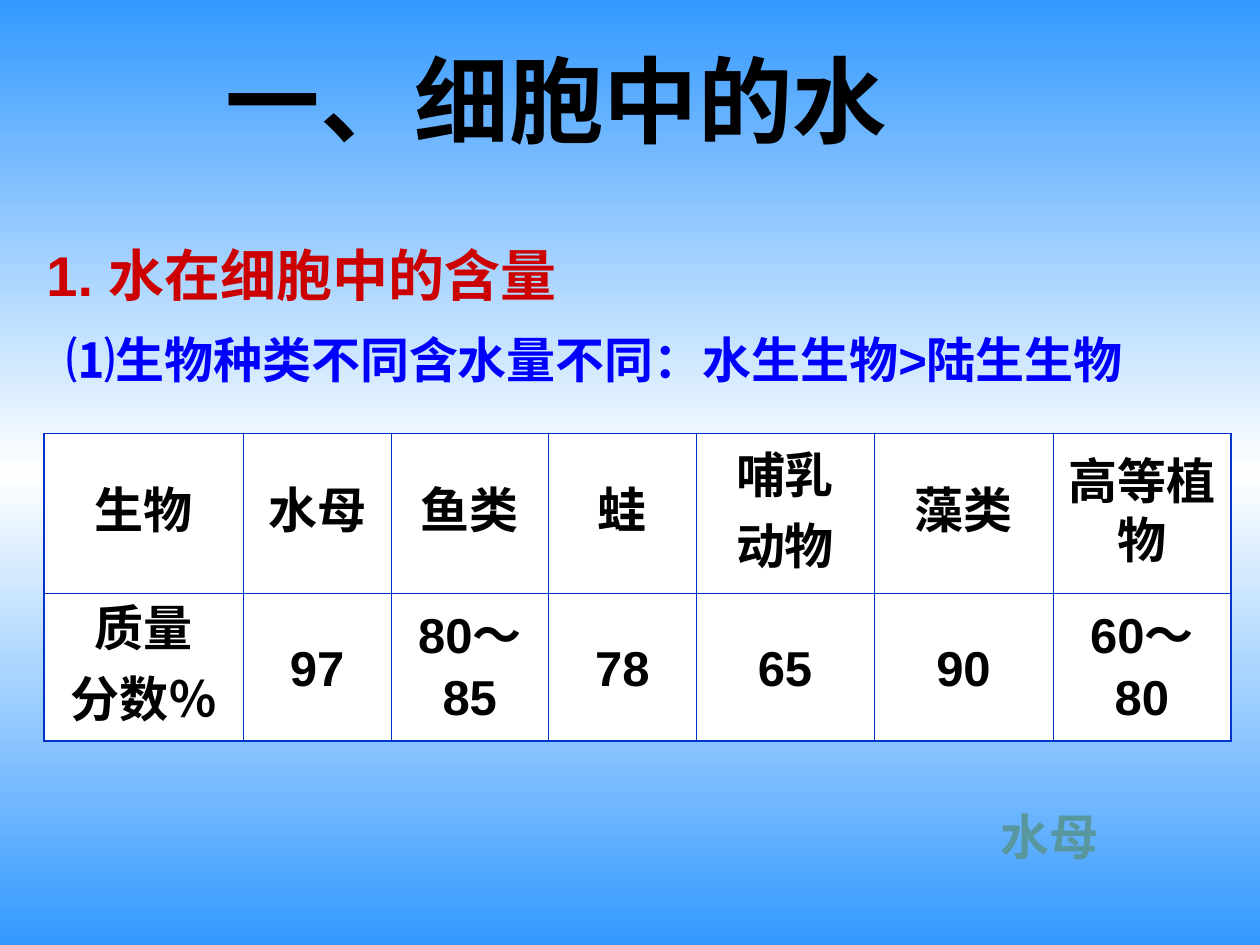
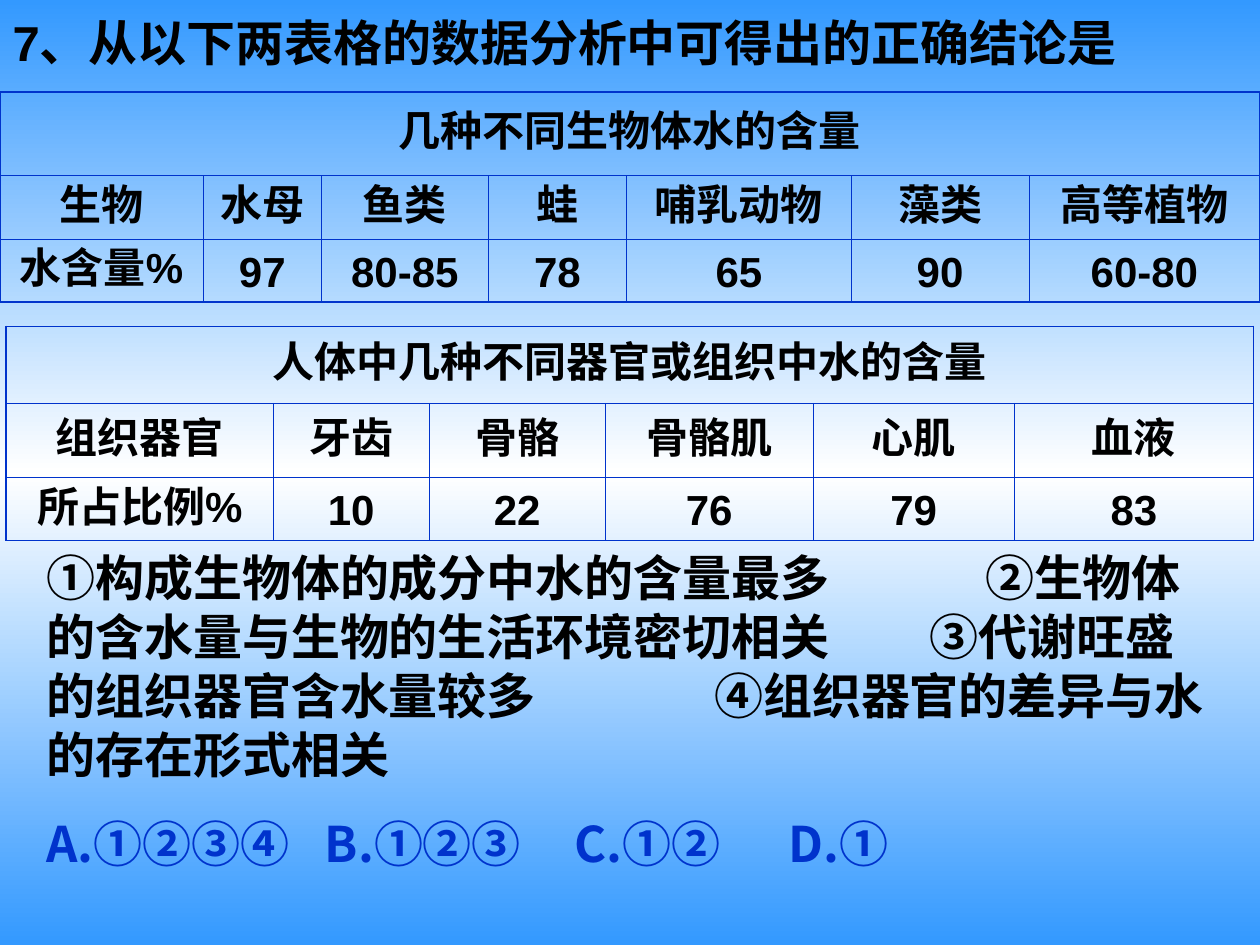
from lxml import etree
from pptx import Presentation
from pptx.dml.color import RGBColor
from pptx.enum.text import MSO_ANCHOR, MSO_AUTO_SIZE, PP_ALIGN
from pptx.oxml.ns import qn
from pptx.util import Inches, Pt

LEFT, CENTER = PP_ALIGN.LEFT, PP_ALIGN.CENTER
TOP, MIDDLE = MSO_ANCHOR.TOP, MSO_ANCHOR.MIDDLE
NO_AUTOFIT = MSO_AUTO_SIZE.NONE
TITLE_ONLY = 5

SKY = RGBColor(0x33, 0x99, 0xFF)
WHITE = RGBColor(0xFF, 0xFF, 0xFF)
BLACK = RGBColor(0x00, 0x00, 0x00)
CELL_INK = RGBColor(0x02, 0x01, 0x00)
RED = RGBColor(0xCC, 0x00, 0x00)
BLUE = RGBColor(0x00, 0x00, 0xFF)
ROYAL = RGBColor(0x00, 0x33, 0xCC)
TEAL = RGBColor(0x59, 0x97, 0x9F)

LATIN, CJK = "Arial", "Noto Sans CJK SC"
LINE_HEIGHT = 1.2              # line pitch per point of text size
OUTER, INNER = Pt(1.08), Pt(0.45)

# The slide is a grid of 100 columns by 75 rows
SLIDE_W, SLIDE_H = Inches(10), Inches(7.5)
COL, ROW = SLIDE_W / 100, SLIDE_H / 75


def grid(box):
    x, y, w, h = box
    return int(x * COL), int(y * ROW), int(w * COL), int(h * ROW)


def style_paragraph(p, size, color, font=LATIN, align=LEFT, before=0):
    p.alignment = align
    p.line_spacing = Pt(size * LINE_HEIGHT)
    p.space_before = Pt(before)
    for r in p.runs:
        r.font.size, r.font.bold, r.font.name = Pt(size), True, font
        r.font.color.rgb = color
        etree.SubElement(r._r.get_or_add_rPr(), qn("a:ea"), typeface=CJK)


def set_tabs(p, columns):
    tabs = etree.SubElement(p._p.get_or_add_pPr(), qn("a:tabLst"))
    for column in columns:
        etree.SubElement(tabs, qn("a:tab"), pos=str(int(column * COL)), algn="l")


def fill_text(s, box, text, size, color, font=LATIN):
    s.left, s.top, s.width, s.height = grid(box)
    tf = s.text_frame
    tf.text = text
    tf.word_wrap, tf.auto_size, tf.vertical_anchor = True, NO_AUTOFIT, TOP
    for i, p in enumerate(tf.paragraphs):
        style_paragraph(p, size, color, font, before=17.5 if i else 0)
    return tf


def add_text(slide, box, *args, **kwargs):
    return fill_text(slide.shapes.add_textbox(*grid(box)), box, *args, **kwargs)


def set_borders(cell, widths):
    tcPr = cell._tc.get_or_add_tcPr()
    for side, width in zip("LRTB", widths):
        ln = etree.SubElement(tcPr, qn(f"a:ln{side}"), w=str(int(width)))
        solid = etree.SubElement(ln, qn("a:solidFill"))
        etree.SubElement(solid, qn("a:srgbClr"), val=str(ROYAL))


def add_data_table(slide, box, col_weights, row_weights, rows, size, color,
                   fill=None, caption=None):
    """Table with a thick frame; a caption becomes a merged first row."""
    n_rows, n_cols = len(row_weights), len(col_weights)
    x, y, w, h = grid(box)
    table = slide.shapes.add_table(n_rows, n_cols, x, y, w, h).table
    table.first_row = table.horz_banding = False
    for column, weight in zip(table.columns, col_weights):
        column.width = int(w * weight / sum(col_weights))
    for row, weight in zip(table.rows, row_weights):
        row.height = int(h * weight / sum(row_weights))
    if caption:
        table.cell(0, 0).merge(table.cell(0, n_cols - 1))
        rows = [[caption] + [""] * (n_cols - 1)] + rows

    for i, values in enumerate(rows):
        for j, value in enumerate(values):
            cell = table.cell(i, j)
            cell.text = value
            cell.vertical_anchor = MIDDLE
            at_right = j == n_cols - 1 or cell.is_merge_origin
            edges = (j == 0, at_right, i == 0, i == n_rows - 1)
            set_borders(cell, [OUTER if edge else INNER for edge in edges])
            if fill is None:
                cell.fill.background()
            else:
                cell.fill.solid()
                cell.fill.fore_color.rgb = fill
            for k, p in enumerate(cell.text_frame.paragraphs):
                style_paragraph(p, size, color, align=CENTER,
                                before=size / 4 if k else 0)


def set_background(master):
    """Sky-white-sky gradient shared by all slides."""
    fill = master.background.fill
    fill.gradient()
    fill.gradient_angle = 90
    stops = master._element.find(".//" + qn("p:bg")).find(".//" + qn("a:gsLst"))
    for stop in list(stops):
        stops.remove(stop)
    for percent, color in ((0, SKY), (50, WHITE), (100, SKY)):
        stop = etree.SubElement(stops, qn("a:gs"), pos=str(percent * 1000))
        etree.SubElement(stop, qn("a:srgbClr"), val=str(color))


def new_slide(prs, title, box, size):
    slide = prs.slides.add_slide(prs.slide_layouts[TITLE_ONLY])
    fill_text(slide.shapes.title, box, title, size, BLACK)
    return slide


def build_water_content(prs):
    slide = new_slide(prs, "一、细胞中的水", (16.9, 2.8, 64.2, 10), 54)
    # Headings
    add_text(slide, (2.7, 18.6, 51.7, 6.4), "1. 水在细胞中的含量", 32, RED)
    add_text(slide, (4.3, 25.7, 89.2, 10.4),
             "⑴生物种类不同含水量不同：水生生物>陆生生物", 28, BLUE)
    # Caption below the table
    add_text(slide, (78.4, 63.5, 17.5, 5.7), "水母", 28, TEAL)
    # Water share by organism
    rows = [["生物", "水母", "鱼类", "蛙", "哺乳\n动物", "藻类", "高等植物"],
            ["质量\n分数％", "97", "80～85", "78", "65", "90", "60～80"]]
    add_data_table(slide, (3.5, 34.4, 94.2, 24.4),
                   [1.58, 1.17, 1.25, 1.17, 1.41, 1.42, 1.41], [1.27, 1.17],
                   rows, 28, CELL_INK, fill=WHITE)


def build_question(prs):
    slide = new_slide(prs, "7、从以下两表格的数据分析中可得出的正确结论是",
                      (0, 0.5, 91, 5.7), 28)
    # Organs and tissues
    organs = [["组织器官", "牙齿", "骨骼", "骨骼肌", "心肌", "血液"],
              ["所占比例%", "10", "22", "76", "79", "83"]]
    add_data_table(slide, (0.5, 25.9, 99, 17),
                   [2.12, 1.24, 1.4, 1.65, 1.6, 1.9], [0.61, 0.59, 0.5],
                   organs, 24, BLACK, caption="人体中几种不同器官或组织中水的含量")
    # Organisms
    organisms = [["生物", "水母", "鱼类", "蛙", "哺乳动物", "藻类", "高等植物"],
                 ["水含量%", "97", "80-85", "78", "65", "90", "60-80"]]
    add_data_table(slide, (0, 7.3, 100, 16.7),
                   [1.61, 0.94, 1.32, 1.1, 1.78, 1.41, 1.83], [0.66, 0.5, 0.5],
                   organisms, 24, BLACK, caption="几种不同生物体水的含量")
    # Statements and answer options
    statements = ("①构成生物体的成分中水的含量最多\t\t②生物体的含水量与生物的生活环境密切相关"
                  "\t③代谢旺盛的组织器官含水量较多\t④组织器官的差异与水的存在形式相关")
    options = "A.①②③④\tB.①②③\tC.①②\tD.①"
    tf = add_text(slide, (2.7, 43, 94.9, 26.8), f"{statements}\n{options}",
                  28, BLACK, font=CJK)
    p_statements, p_options = tf.paragraphs
    set_tabs(p_statements, (53, 70.1, 74.5))
    set_tabs(p_options, (22.1, 41.9, 58.9))
    for r in p_options.runs:
        r.font.color.rgb = ROYAL


def main():
    prs = Presentation()
    prs.slide_width, prs.slide_height = SLIDE_W, SLIDE_H
    set_background(prs.slide_master)
    build_water_content(prs)
    build_question(prs)
    prs.save("out.pptx")


if __name__ == "__main__":
    main()
